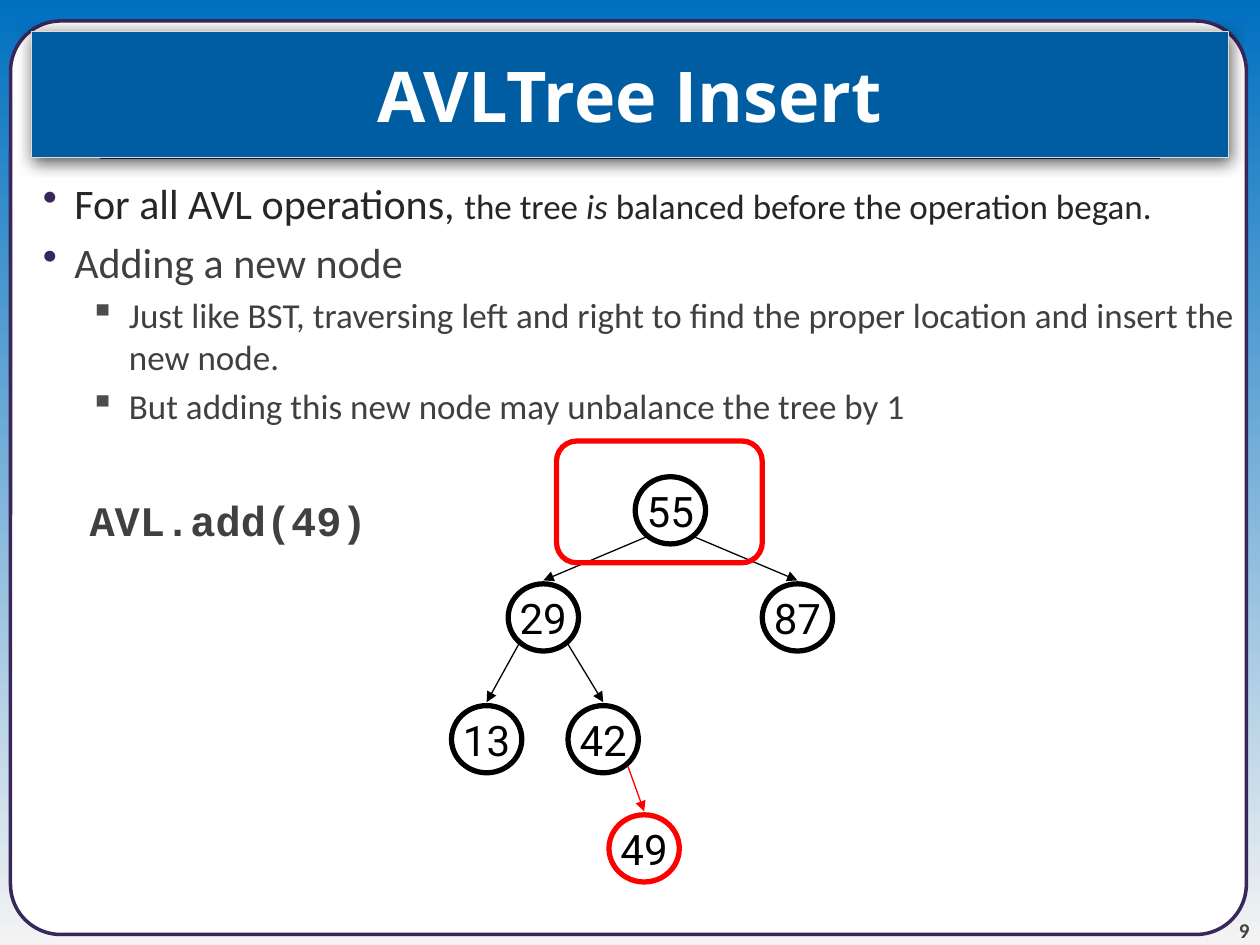
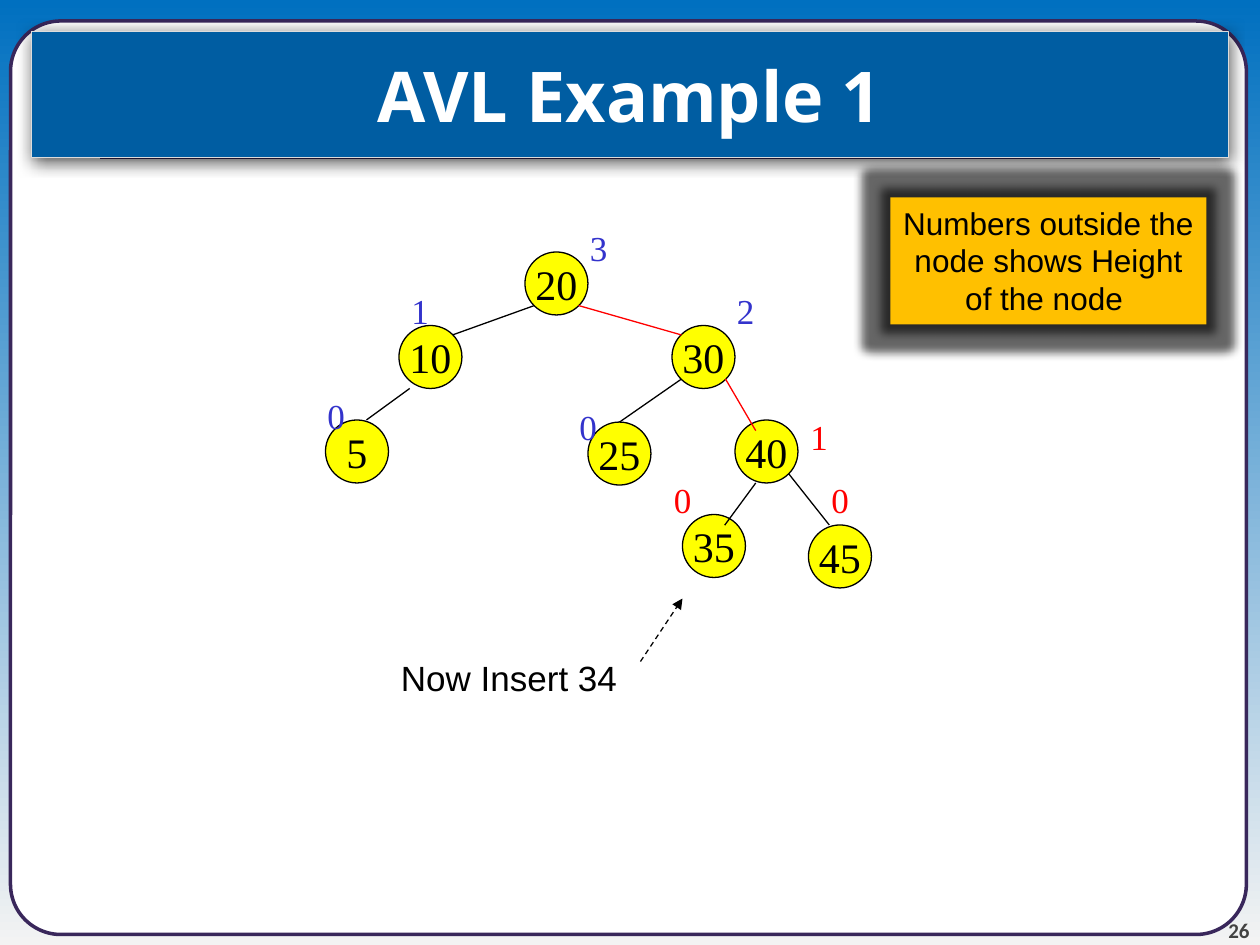
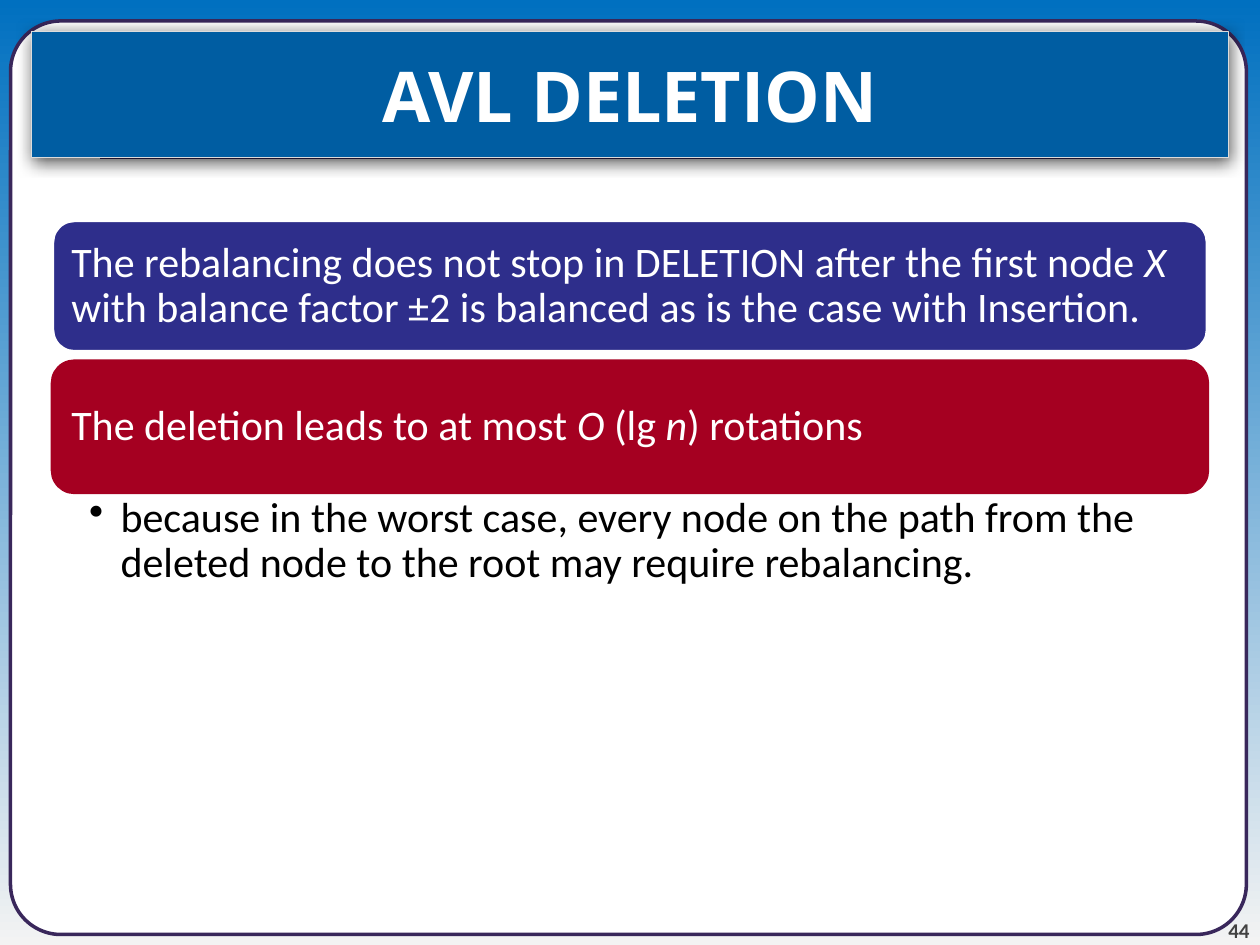
from typing import NamedTuple, Optional

import lxml.etree
import pptx
import pptx.dml.color
import pptx.enum.dml
import pptx.enum.shapes
import pptx.enum.text
import pptx.oxml.ns
import pptx.util

COLORS = {
    "sky": "0070C0", "mist": "F3F3F3", "white": "FFFFFF", "frame": "39275B",
    "band": "005DA2", "band_edge": "DCDCDC", "number": "424242",
    "ink": "262626", "text": "404040", "bullet": "4D4D4D", "black": "000000",
    "red": "FF0000", "yellow": "FFFF00", "height": "3333CC",
    "note": "FFC000", "navy": "2E2E8B", "crimson": "A50021",
}

SLIDE_WIDTH, SLIDE_HEIGHT = pptx.util.Inches(10), pptx.util.Inches(7.5)
COLUMNS, ROWS = 120, 90

Shapes = pptx.enum.shapes.MSO_SHAPE
Align = pptx.enum.text.PP_ALIGN
Anchor = pptx.enum.text.MSO_ANCHOR


class Box(NamedTuple):
    """A place on the grid, in columns and rows."""
    left: float
    top: float
    width: float
    height: float

    def at(self, share: tuple[float, float]) -> tuple[float, float]:
        """The grid point at a share of the box's width and height."""
        return self.left + share[0] * self.width, self.top + share[1] * self.height


class Run(NamedTuple):
    text: str
    size: float
    font: str = "Calibri"
    color: str = "black"
    bold: bool = False
    italic: bool = False


class Bullet(NamedTuple):
    mark: str
    color: str


class Paragraph(NamedTuple):
    runs: list[Run]
    align: Align = Align.LEFT
    before: float = 0
    spacing: Optional[float] = None
    left: float = 0
    hanging: float = 0
    bullet: Optional[Bullet] = None


class Edge(NamedTuple):
    """A line between shares of the parent's and the child's box."""
    parent: str
    child: str
    start: tuple[float, float]
    end: tuple[float, float]
    color: str = "black"


class NodeStyle(NamedTuple):
    width: float
    height: float
    font: str
    line_width: float
    fill: Optional[str]


class Height(NamedTuple):
    text: str
    left: float
    top: float
    color: str = "height"


class Panel(NamedTuple):
    top: float
    fill: str
    line: str
    runs: list[Run]


def column(count: float) -> int:
    return round(SLIDE_WIDTH * count / COLUMNS)


def row(count: float) -> int:
    return round(SLIDE_HEIGHT * count / ROWS)


def rgb(name: str) -> pptx.dml.color.RGBColor:
    return pptx.dml.color.RGBColor.from_string(COLORS[name])


def add_element(parent, tag: str, **attributes):
    names = {key: str(value) for key, value in attributes.items()}
    return lxml.etree.SubElement(parent, pptx.oxml.ns.qn(tag), names)


def add_effect(shape, tag: str, opacity: int, **attributes) -> None:
    effects = shape.element.spPr.find(pptx.oxml.ns.qn("a:effectLst"))
    effect = add_element(effects, tag, **attributes)
    color = add_element(effect, "a:srgbClr", val=COLORS["black"])
    add_element(color, "a:alpha", val=opacity * 1000)


def write(shape, paragraphs: list[Paragraph], anchor: Anchor = Anchor.TOP, wrap: bool = True,
          insets: tuple[float, float, float, float] = (0.1, 0.05, 0.1, 0.05)) -> None:
    frame = shape.text_frame
    frame.word_wrap, frame.vertical_anchor = wrap, anchor
    (frame.margin_left, frame.margin_top,
     frame.margin_right, frame.margin_bottom) = map(pptx.util.Inches, insets)
    for index, item in enumerate(paragraphs):
        paragraph = frame.add_paragraph() if index else frame.paragraphs[0]
        paragraph.alignment = item.align
        if item.before:
            paragraph.space_before = pptx.util.Pt(item.before)
        if item.spacing:
            paragraph.line_spacing = item.spacing
        if item.left:
            properties = paragraph._p.get_or_add_pPr()
            properties.set("marL", str(column(item.left)))
            properties.set("indent", str(-column(item.hanging)))
            if item.bullet:
                tint = add_element(properties, "a:buClr")
                add_element(tint, "a:srgbClr", val=COLORS[item.bullet.color])
                add_element(properties, "a:buChar", char=item.bullet.mark)
        for part in item.runs:
            run = paragraph.add_run()
            run.text = part.text
            run.font.name, run.font.size = part.font, pptx.util.Pt(part.size)
            run.font.bold, run.font.italic = part.bold, part.italic
            run.font.color.rgb = rgb(part.color)


def add_shape(slide, kind: Shapes, box: Box, fill: Optional[str] = None,
              line: Optional[str] = None, line_width: float = 0.75):
    shape = slide.shapes.add_shape(kind, column(box.left), row(box.top),
                                   column(box.width), row(box.height))
    shape.shadow.inherit = False
    if fill:
        shape.fill.solid()
        shape.fill.fore_color.rgb = rgb(fill)
    else:
        shape.fill.background()
    if line:
        shape.line.color.rgb = rgb(line)
        shape.line.width = pptx.util.Pt(line_width)
    else:
        shape.line.fill.background()
    return shape


def add_text(slide, box: Box, paragraphs: list[Paragraph], **options) -> None:
    shape = slide.shapes.add_textbox(column(box.left), row(box.top),
                                     column(box.width), row(box.height))
    write(shape, paragraphs, **options)


def add_line(slide, start: tuple[float, float], end: tuple[float, float],
             color: str = "black", width: float = 0.75,
             arrow: bool = False, dashed: bool = False) -> None:
    connector = slide.shapes.add_connector(
        pptx.enum.shapes.MSO_CONNECTOR.STRAIGHT,
        column(start[0]), row(start[1]), column(end[0]), row(end[1]))
    connector.line.color.rgb = rgb(color)
    connector.line.width = pptx.util.Pt(width)
    if dashed:
        connector.line.dash_style = pptx.enum.dml.MSO_LINE.DASH
    if arrow:
        add_element(connector.line._get_or_add_ln(), "a:tailEnd", type="triangle")
    add_element(connector.element.spPr, "a:effectLst")


def add_slide(presentation, title: str, number: int):
    """Add a slide with the shared background, frame, number and title band."""
    slide = presentation.slides.add_slide(presentation.slide_layouts[6])
    background = slide.background.fill
    background.gradient()
    background.gradient_angle = 270
    for stop, color in zip(background.gradient_stops, ("sky", "mist")):
        stop.color.rgb = rgb(color)

    frame = add_shape(slide, Shapes.ROUNDED_RECTANGLE, Box(1, 2, 117.7, 87), "white", "frame", 2)
    frame.adjustments[0] = 0.055
    add_text(slide, Box(109, 85, 10, 4.8),
             [Paragraph([Run(str(number), 12, color="number", bold=True)], Align.RIGHT)],
             anchor=Anchor.BOTTOM, insets=(0, 0, 0, 0))
    add_line(slide, (9.5, 15), (110.5, 15), "frame", 2.25)
    band = add_shape(slide, Shapes.RECTANGLE, Box(3, 3, 114, 12), "band", "band_edge")
    add_effect(band, "a:outerShdw", 65, blurRad=pptx.util.Pt(9), dist=pptx.util.Pt(2),
               dir=5400000, algn="ctr", rotWithShape=0)
    write(band, [Paragraph([Run(title, 40, "Open Sans", "white", True)], Align.CENTER)],
          Anchor.MIDDLE)
    return slide


def add_tree(slide, places: dict[str, tuple[float, float]], edges: list[Edge], style: NodeStyle,
             arrows: bool = False, new_node: str = "") -> None:
    boxes = {}
    for key, (left, top) in places.items():
        boxes[key] = Box(left, top, style.width, style.height)
        node = add_shape(slide, Shapes.OVAL, boxes[key], style.fill,
                         "red" if key == new_node else "black", style.line_width)
        write(node, [Paragraph([Run(key, 24, style.font)], Align.CENTER)],
              Anchor.MIDDLE, wrap=False)
    for edge in edges:
        add_line(slide, boxes[edge.parent].at(edge.start), boxes[edge.child].at(edge.end),
                 edge.color, arrow=arrows)


def build_insert(presentation) -> None:
    slide = add_slide(presentation, "AVLTree Insert", 9)
    dot, square = Bullet("•", "frame"), Bullet("▪", "bullet")
    sub_left, sub_hanging = 11.2, 3.75
    add_text(slide, Box(-0.1, 16.3, 120, 25), [
        Paragraph([Run("For all AVL operations, ", 24, color="ink"),
                   Run("the tree ", 20, color="ink"),
                   Run("is ", 20, color="ink", italic=True),
                   Run("balanced before the operation began.", 20, color="ink")],
                  left=6, hanging=3, bullet=dot),
        Paragraph([Run("Adding a new node", 24, color="text")],
                  before=4.8, left=6, hanging=3, bullet=dot),
        *(Paragraph([Run(text, 20, color="text")], before=4,
                    left=sub_left, hanging=sub_hanging, bullet=square)
          for text in ("Just like BST, traversing left and right to find the proper location "
                       "and insert the new node.",
                       "But adding this new node may unbalance the tree by 1")),
        Paragraph([Run("AVL.add(49)", 24, "Courier New", "text", True)],
                  before=39, left=sub_left, hanging=sub_hanging),
    ])
    lower_left, lower_right, above = (0.15, 0.9), (0.85, 0.9), (0.5, -0.05)
    add_tree(
        slide,
        {"87": (72.6, 55.6), "29": (48.4, 55.6), "55": (60.5, 45.4),
         "42": (54.1, 67.2), "13": (43, 67.2), "49": (58, 77.6)},
        [Edge("55", "29", lower_left, above),
         Edge("55", "87", lower_right, above),
         Edge("29", "13", lower_left, above),
         Edge("29", "42", lower_right, above),
         Edge("42", "49", lower_right, above, "red")],
        NodeStyle(6.7, 6.4, "Roboto", 3, None), arrows=True, new_node="49")
    add_shape(slide, Shapes.ROUNDED_RECTANGLE, Box(53, 42, 19.6, 11.6), line="red", line_width=3)


def build_example(presentation) -> None:
    slide = add_slide(presentation, "AVL Example 1", 26)
    upper_left, upper_right = (0.15, 0.15), (0.85, 0.15)
    lower_left, lower_right = (0.15, 0.85), (0.85, 0.85)
    add_tree(
        slide,
        {"20": (50, 24), "10": (38, 31), "30": (64, 31), "25": (56, 40.2),
         "40": (70, 40), "5": (31, 40), "35": (65, 49), "45": (77, 50)},
        [Edge("20", "10", lower_left, upper_right),
         Edge("20", "30", lower_right, upper_left, "red"),
         Edge("30", "25", lower_left, (0.5, 0)),
         Edge("30", "40", lower_right, (0.33, 0.17), "red"),
         Edge("10", "5", (0.17, 1), (0.65, 0)),
         Edge("40", "45", lower_right, (0.33, 0)),
         Edge("40", "35", (0.33, 1), (0.67, 0.17))],
        NodeStyle(6, 6, "Times New Roman", 0.75, "yellow"))
    for height in (Height("1", 38, 27), Height("0", 30, 37), Height("0", 54, 38),
                   Height("2", 69, 27), Height("3", 55, 21), Height("0", 63, 45, "red"),
                   Height("0", 78, 45, "red"), Height("1", 76, 39, "red")):
        add_text(slide, Box(height.left, height.top, 4.1, 5.3),
                 [Paragraph([Run(height.text, 20, "Times New Roman", height.color)])], wrap=False)
    add_text(slide, Box(37, 61.9, 25, 5.3), [Paragraph([Run("Now Insert 34", 20, "Arial")])])
    add_line(slide, (61, 63), (65, 57), arrow=True, dashed=True)
    note = add_shape(slide, Shapes.RECTANGLE, Box(84.8, 18.8, 30.1, 12.1), "note")
    add_effect(note, "a:glow", 60, rad=pptx.util.Pt(11))
    write(note, [Paragraph([Run("Numbers outside the node shows Height of the node ", 18, "Arial")],
                           Align.CENTER)])


def build_deletion(presentation) -> None:
    slide = add_slide(presentation, "AVL DELETION", 44)

    def white(text: str, italic: bool = False) -> Run:
        return Run(text, 24, color="white", italic=italic)

    for panel in (
        Panel(21, "navy", "white", [
            white("The rebalancing does not stop in DELETION after the first node "),
            white("X ", True),
            white("with balance factor ±2 is balanced as is the case with Insertion.")]),
        Panel(34.4, "crimson", "crimson", [
            white("The deletion leads to at most "), white("O ", True), white("(lg "),
            white("n", True), white(") rotations")]),
    ):
        shape = add_shape(slide, Shapes.ROUNDED_RECTANGLE, Box(5, panel.top, 110, 12.5),
                          panel.fill, panel.line, 2)
        write(shape, [Paragraph(panel.runs, spacing=0.9)], Anchor.MIDDLE,
              insets=(0.1, 0.1, 0.1, 0.1))
    add_text(slide, Box(5, 46.9, 110, 14), [
        Paragraph([Run("because in the worst case, every node on the path from the deleted node "
                       "to the root may require rebalancing.", 24)],
                  spacing=0.9, left=3, hanging=3, bullet=Bullet("•", "black"))],
        insets=(0.29, 0.03, 0.19, 0.03))


def main() -> None:
    presentation = pptx.Presentation()
    presentation.slide_width, presentation.slide_height = SLIDE_WIDTH, SLIDE_HEIGHT
    build_insert(presentation)
    build_example(presentation)
    build_deletion(presentation)
    presentation.save("out.pptx")


if __name__ == "__main__":
    main()
